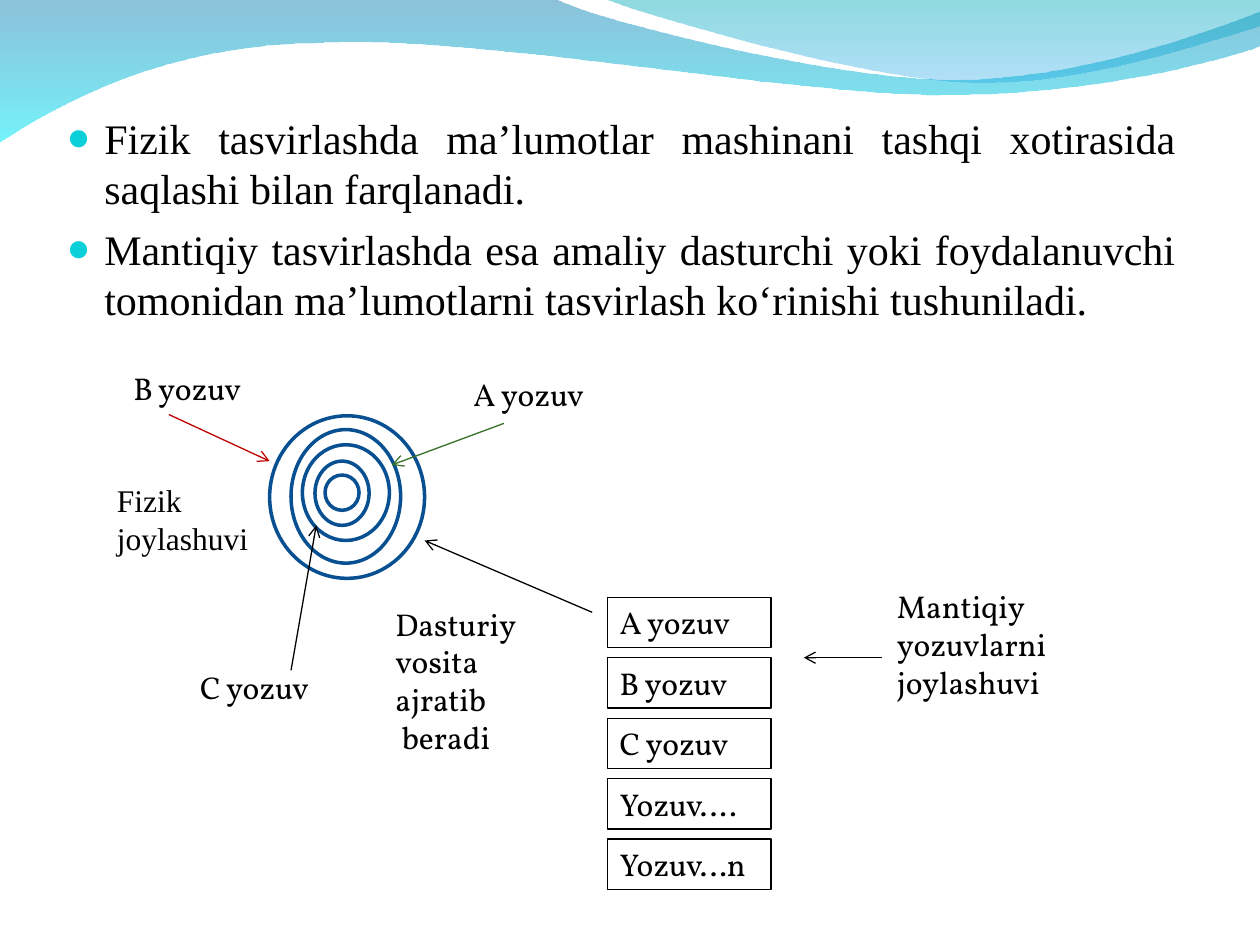
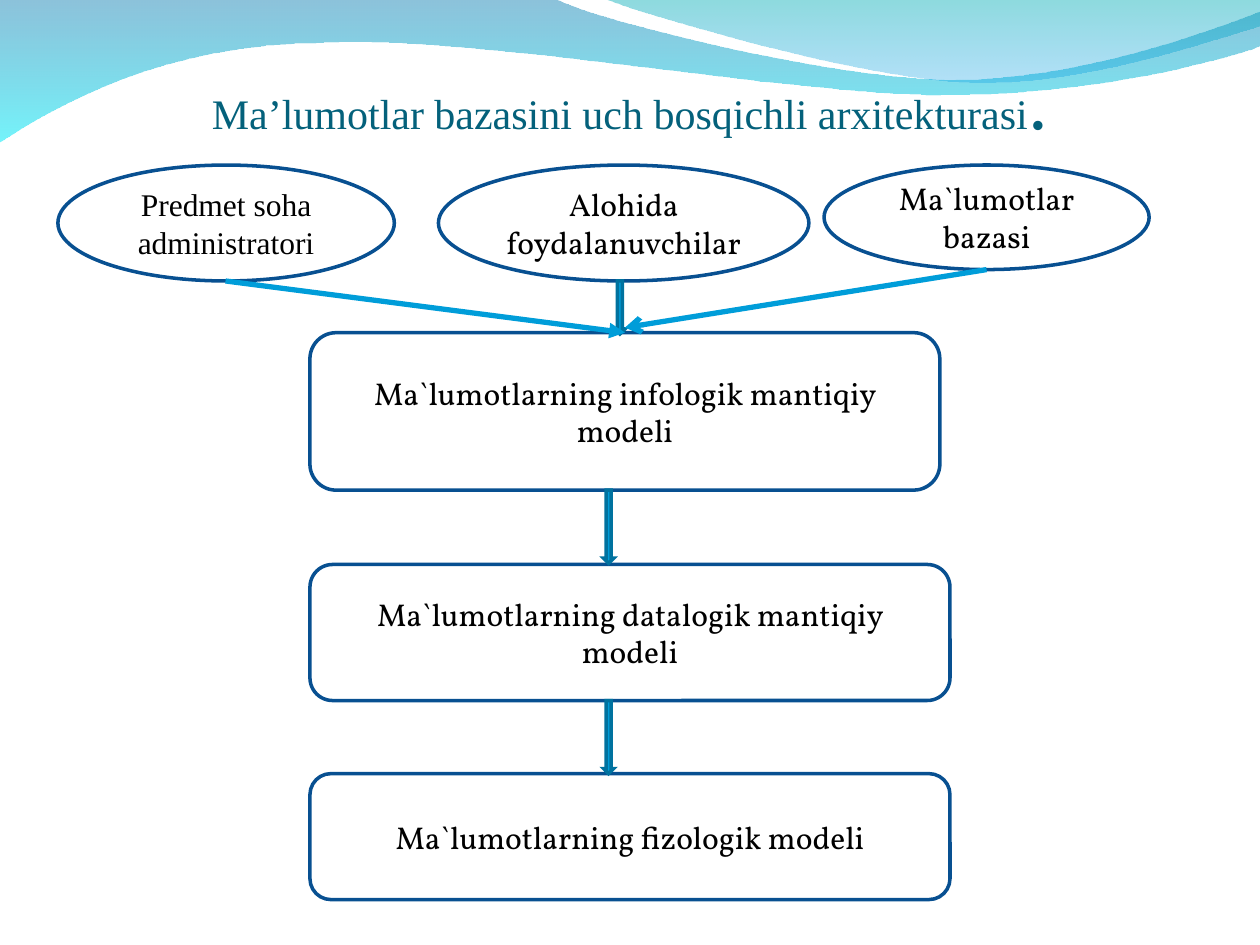
from lxml import etree
from pptx import Presentation
from pptx.dml.color import RGBColor
from pptx.enum.shapes import MSO_CONNECTOR, MSO_SHAPE
from pptx.enum.text import MSO_ANCHOR, MSO_AUTO_SIZE, PP_ALIGN
from pptx.oxml.ns import qn
from pptx.util import Inches, Pt

STRAIGHT = MSO_CONNECTOR.STRAIGHT
OVAL = MSO_SHAPE.OVAL
RECTANGLE = MSO_SHAPE.RECTANGLE
ROUNDED = MSO_SHAPE.ROUNDED_RECTANGLE
DOWN_ARROW = MSO_SHAPE.DOWN_ARROW
LEFT, CENTER, JUSTIFY = PP_ALIGN.LEFT, PP_ALIGN.CENTER, PP_ALIGN.JUSTIFY
TOP, MIDDLE, BOTTOM = MSO_ANCHOR.TOP, MSO_ANCHOR.MIDDLE, MSO_ANCHOR.BOTTOM

BLACK = RGBColor(0x00, 0x00, 0x00)
NAVY = RGBColor(0x08, 0x50, 0x91)
TITLE_TEAL = RGBColor(0x04, 0x61, 0x7B)
SKY = RGBColor(0x00, 0x9D, 0xD9)
ARROW_EDGE = RGBColor(0x00, 0x72, 0x9F)
RED = RGBColor(0xC0, 0x00, 0x00)
GREEN = RGBColor(0x38, 0x70, 0x26)
BULLET_CYAN = RGBColor(0x0B, 0xD0, 0xD9)

SERIF = "Times New Roman"
BODY_FONT = "Vollkorn"

LONG_WAVE = (
    ((0, -0.01),),
    ((4.4, -0.01),),
    ((4.76, 0.17), (6.64, 0.63), (7.58, 0.63)),
    ((8.53, 0.63), (9.58, 0.26), (10, 0.09)),
    ((10.01, 0.36),),
    ((9.83, 0.44), (8.7, 0.76), (7.46, 0.75)),
    ((6.22, 0.75), (3.82, 0.28), (2.57, 0.34)),
    ((1.29, 0.35), (0.46, 0.83), (-0.01, 1.13)),
)
SHORT_WAVE = (
    ((4.79, -0.01),),
    ((5.09, 0.11), (6.82, 0.62), (7.69, 0.65)),
    ((8.56, 0.69), (9.61, 0.32), (10, 0.21)),
    ((10, 0),),
)
WAVES = (
    (LONG_WAVE, (RGBColor(0x00, 0x79, 0xAF), 45), (RGBColor(0x00, 0xEB, 0xF8), 55)),
    (SHORT_WAVE, (RGBColor(0x00, 0xAD, 0xB6), 45), (RGBColor(0x00, 0x9B, 0xE5), 30)),
)


def build_curved_outline(slide, segments):
    corners = [tuple(Inches(value) for value in segment[-1]) for segment in segments]
    builder = slide.shapes.build_freeform(*corners[0])
    builder.add_line_segments(corners[1:], close=True)
    shape = builder.convert_to_shape()
    lines = list(shape.element.spPr.iter(qn("a:lnTo")))
    for line, segment in zip(lines, segments[1:]):
        if len(segment) == 3:
            line.tag = qn("a:cubicBezTo")
            controls = [
                etree.Element(
                    qn("a:pt"),
                    x=str(Inches(x) - shape.left),
                    y=str(Inches(y) - shape.top),
                )
                for x, y in segment[:2]
            ]
            line[:0] = controls
    return shape


def add_waves(slide):
    for segments, *stops in WAVES:
        wave = build_curved_outline(slide, segments)
        wave.shadow.inherit = False
        wave.line.fill.background()
        wave.fill.gradient()
        wave.fill.gradient_angle = 270
        for gradient_stop, (color, _) in zip(wave.fill.gradient_stops, stops):
            gradient_stop.color.rgb = color
        for element, (_, opacity) in zip(wave.element.spPr.iter(qn("a:srgbClr")), stops):
            etree.SubElement(element, qn("a:alpha"), val=str(opacity * 1000))


def format_runs(paragraph, size, font_name, color=BLACK):
    for run in paragraph.runs:
        run.font.size = Pt(size)
        run.font.name = font_name
        run.font.color.rgb = color


def set_text(shape, text, font_name=BODY_FONT, size=18, align=LEFT, anchor=TOP):
    frame = shape.text_frame
    frame.word_wrap = True
    frame.vertical_anchor = anchor
    frame.text = text
    for paragraph in frame.paragraphs:
        paragraph.alignment = align
        format_runs(paragraph, size, font_name)


def add_label(slide, left, top, width, height, text, font_name=BODY_FONT):
    label = slide.shapes.add_textbox(Inches(left), Inches(top), Inches(width), Inches(height))
    set_text(label, text, font_name)
    return label


def add_outlined(slide, kind, left, top, width, height, color=NAVY, weight=2):
    shape = slide.shapes.add_shape(
        kind, Inches(left), Inches(top), Inches(width), Inches(height)
    )
    shape.shadow.inherit = False
    shape.fill.background()
    shape.line.color.rgb = color
    shape.line.width = Pt(weight)
    return shape


def add_arrow(slide, start, end, color=BLACK, weight=0.75, head="arrow"):
    connector = slide.shapes.add_connector(
        STRAIGHT, *(Inches(value) for value in (*start, *end))
    )
    connector.line.color.rgb = color
    connector.line.width = Pt(weight)
    properties = connector.element.spPr
    etree.SubElement(properties.find(qn("a:ln")), qn("a:tailEnd"), type=head)
    etree.SubElement(properties, qn("a:effectLst"))
    return connector


def add_bullets(slide, left, top, width, height, texts):
    box = slide.shapes.add_textbox(Inches(left), Inches(top), Inches(width), Inches(height))
    set_text(box, "\n".join(texts), SERIF, 24, JUSTIFY)
    for index, paragraph in enumerate(box.text_frame.paragraphs):
        properties = paragraph._p.get_or_add_pPr()
        properties.set("marL", str(Inches(0.3)))
        properties.set("indent", str(Inches(-0.3)))
        color = etree.SubElement(properties, qn("a:buClr"))
        etree.SubElement(color, qn("a:srgbClr"), val=str(BULLET_CYAN))
        etree.SubElement(properties, qn("a:buSzPct"), val="95000")
        etree.SubElement(properties, qn("a:buFont"), typeface=SERIF)
        etree.SubElement(properties, qn("a:buChar"), char="●")
        if index:
            paragraph.space_before = Pt(6)


def add_physical_storage(slide, left, top):
    add_label(slide, left - 0.13, top + 0.89, 1.41, 0.7, "Fizik joylashuvi", SERIF)
    rings = (
        (1.62, 0.89, 0.27, 0.28),
        (1.54, 0.78, 0.43, 0.51),
        (1.44, 0.65, 0.69, 0.76),
        (1.35, 0.53, 0.87, 1.06),
        (1.18, 0.42, 1.23, 1.29),
    )
    for x, y, width, height in rings:
        add_outlined(slide, OVAL, left + x, top + y, width, height)
    records = (
        ("A yozuv", (2.7, 0.05, 1.16), (3.04, 0.48), (2.15, 0.81), GREEN),
        ("C yozuv", (0.53, 2.37, 1.13), (1.35, 2.44), (1.55, 1.29), BLACK),
        ("B yozuv", (0, 0, 1.14), (0.38, 0.41), (1.18, 0.78), RED),
    )
    for text, (x, y, width), start, end, color in records:
        add_label(slide, left + x, top + y, width, 0.4, text)
        add_arrow(
            slide,
            (left + start[0], top + start[1]),
            (left + end[0], top + end[1]),
            color,
        )


def add_logical_records(slide, left, top):
    records = ("A yozuv", "B yozuv", "C yozuv", "Yozuv….", "Yozuv…n")
    for index, text in enumerate(records):
        record = add_outlined(
            slide, RECTANGLE, left, top + 0.48 * index, 1.3, 0.4, BLACK, 0.75
        )
        set_text(record, text)
    software = add_label(
        slide, left - 1.78, top + 0.01, 1.28, 1.3, "Dasturiy\nvosita\najratib\nberadi"
    )
    last_line = software.text_frame.paragraphs[-1]
    last_line._p.get_or_add_pPr().set("marL", str(Inches(0.05)))
    add_arrow(slide, (left - 0.12, top + 0.12), (left - 1.45, top - 0.45))
    add_label(
        slide, left + 2.2, top - 0.13, 1.84, 1, "Mantiqiy\nyozuvlarni\njoylashuvi"
    )
    add_arrow(slide, (left + 2.18, top + 0.48), (left + 1.56, top + 0.48))


def format_title(slide, left, top, width, height, text, ending):
    title = slide.shapes.title
    title.left, title.top = Inches(left), Inches(top)
    title.width, title.height = Inches(width), Inches(height)
    frame = title.text_frame
    frame.auto_size = MSO_AUTO_SIZE.NONE
    frame.vertical_anchor = BOTTOM
    frame.margin_left = frame.margin_right = frame.margin_bottom = 0
    frame.margin_top = Inches(0.05)
    frame.text = text
    paragraph = frame.paragraphs[0]
    paragraph.alignment = CENTER
    paragraph.add_run().text = ending
    format_runs(paragraph, 24, SERIF, TITLE_TEAL)
    paragraph.runs[-1].font.size = Pt(45)


def add_architecture(slide, left, top):
    models = (
        (1.33, 5, 1.25, "Ma`lumotlarning infologik mantiqiy modeli"),
        (3.17, 5.08, 1.08, "Ma`lumotlarning datalogik mantiqiy modeli"),
        (4.83, 5.08, 1, "Ma`lumotlarning fizologik modeli"),
    )
    model_shapes = []
    for y, width, height, text in models:
        model = add_outlined(slide, ROUNDED, left + 2, top + y, width, height)
        set_text(model, text, align=CENTER, anchor=MIDDLE)
        model_shapes.append(model)

    sources = (
        (0, 2.67, 0.92, "Predmet soha administratori", SERIF),
        (3.02, 2.94, 0.92, "Alohida foydalanuvchilar", BODY_FONT),
        (6.08, 2.58, 0.83, "Ma`lumotlar bazasi", BODY_FONT),
    )
    for x, width, height, text, font_name in sources:
        source = add_outlined(slide, OVAL, left + x, top, width, height)
        set_text(source, text, font_name, align=CENTER, anchor=MIDDLE)

    for x, y, height in ((4.42, 0.92, 0.42), (4.33, 2.58, 0.58), (4.33, 4.25, 0.58)):
        arrow = add_outlined(
            slide, DOWN_ARROW, left + x, top + y, 0.08, height, ARROW_EDGE
        )
        arrow.fill.solid()
        arrow.fill.fore_color.rgb = SKY
        outline = arrow.element.spPr.find(qn("a:ln"))
        etree.SubElement(outline, qn("a:miter"), lim="800000")

    target = (left + 4.5, top + 1.33)
    from_administrator = add_arrow(
        slide, (left + 1.33, top + 0.92), target, SKY, 3, "triangle"
    )
    from_administrator.end_connect(model_shapes[0], 0)
    add_arrow(
        slide, (left + 7.37, top + 0.83), (target[0], target[1] - 0.04), SKY, 3
    )


def build_representation_slide(presentation):
    slide = presentation.slides.add_slide(presentation.slide_layouts[6])
    add_waves(slide)
    add_bullets(slide, 0.43, 0.84, 9, 1.97, (
        "Fizik tasvirlashda ma’lumotlar mashinani tashqi xotirasida saqlashi bilan farqlanadi.",
        "Mantiqiy tasvirlashda esa amaliy dasturchi yoki foydalanuvchi tomonidan "
        "ma’lumotlarni tasvirlash ko‘rinishi tushuniladi.",
    ))
    add_physical_storage(slide, 0.96, 2.88)
    add_logical_records(slide, 4.82, 4.74)


def build_architecture_slide(presentation):
    slide = presentation.slides.add_slide(presentation.slide_layouts[5])
    add_waves(slide)
    format_title(
        slide, 0.5, 0.44, 9, 0.71, "Ma’lumotlar bazasini uch bosqichli arxitekturasi", "."
    )
    add_architecture(slide, 0.46, 1.31)


def main():
    presentation = Presentation()
    presentation.slide_width, presentation.slide_height = Inches(10), Inches(7.5)
    build_representation_slide(presentation)
    build_architecture_slide(presentation)
    presentation.save("out.pptx")


if __name__ == "__main__":
    main()
